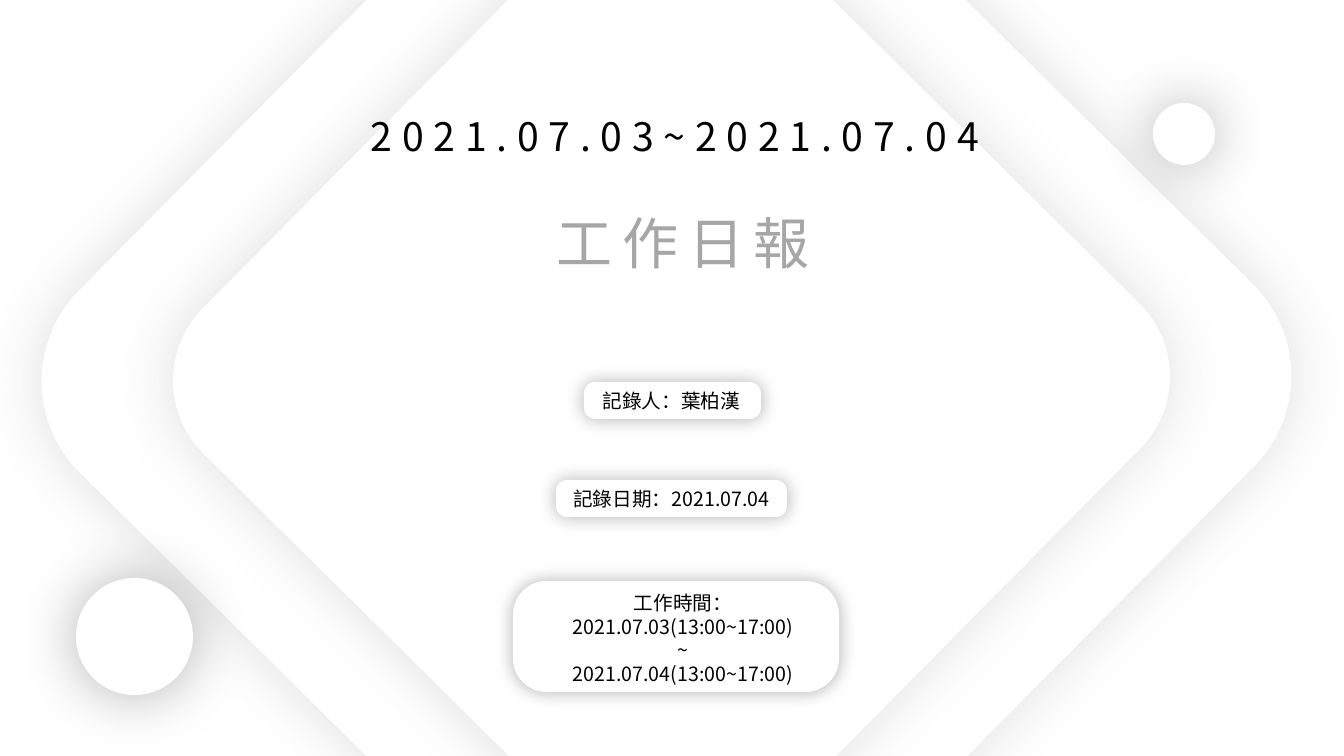
import dataclasses
from typing import Any

import lxml.etree
import pptx
import pptx.dml.color
import pptx.enum.shapes
import pptx.enum.text
import pptx.oxml.ns
import pptx.util

PX = 914400 / 100.8
FONT = "Noto Sans CJK SC"
WHITE, BLACK, GREY = "FFFFFF", "000000", "A6A6A6"
RECTANGLE = pptx.enum.shapes.MSO_SHAPE.ROUNDED_RECTANGLE
CIRCLE = pptx.enum.shapes.MSO_SHAPE.OVAL


@dataclasses.dataclass(frozen=True)
class Box:
    left: int
    top: int
    width: int
    height: int

    def emu(self) -> list[int]:
        return [round(length * PX) for length in dataclasses.astuple(self)]


@dataclasses.dataclass(frozen=True)
class Shadow:
    color: str
    opacity: int
    blur: int


@dataclasses.dataclass(frozen=True)
class Badge:
    panel: Box
    label: Box
    text: str


DIAMOND_SHADOW = Shadow("595959", 19, 43)
CIRCLE_SHADOW = Shadow(BLACK, 30, 43)
BADGE_SHADOW = Shadow(BLACK, 30, 13)

DIAMONDS = [Box(187, -101, 959, 959), Box(289, -4, 765, 765)]
CIRCLES = [Box(76, 578, 117, 117), Box(1153, 103, 62, 62)]
BADGES = [
    Badge(Box(584, 382, 177, 37), Box(566, 384, 211, 34), "記錄人：葉柏漢"),
    Badge(Box(556, 480, 231, 37), Box(550, 482, 243, 34), "記錄日期：2021.07.04"),
    Badge(
        Box(513, 581, 326, 111),
        Box(516, 586, 334, 105),
        "工作時間：\n2021.07.03(13:00~17:00)\n~\n2021.07.04(13:00~17:00)",
    ),
]


def rgb(color: str) -> pptx.dml.color.RGBColor:
    return pptx.dml.color.RGBColor.from_string(color)


def add_shadow(shape: Any, shadow: Shadow) -> None:
    shape.shadow.inherit = False
    effects = shape._element.spPr.find(pptx.oxml.ns.qn("a:effectLst"))
    outer = lxml.etree.SubElement(
        effects, pptx.oxml.ns.qn("a:outerShdw"),
        blurRad=str(pptx.util.Pt(shadow.blur)), dist="0", dir="0",
        algn="ctr", rotWithShape="0",
    )
    color = lxml.etree.SubElement(outer, pptx.oxml.ns.qn("a:srgbClr"), val=shadow.color)
    lxml.etree.SubElement(color, pptx.oxml.ns.qn("a:alpha"), val=str(shadow.opacity * 1000))


def add_panel(shapes: Any, kind: Any, box: Box, shadow: Shadow,
              corner: float = 0, rotation: float = 0) -> None:
    shape = shapes.add_shape(kind, *box.emu())
    shape.fill.solid()
    shape.fill.fore_color.rgb = rgb(WHITE)
    shape.line.fill.background()
    shape.rotation = rotation
    if corner:
        shape.adjustments[0] = corner
    add_shadow(shape, shadow)


def write_text(shape: Any, text: str, size: int, color: str, spacing: int = 0) -> None:
    frame = shape.text_frame
    frame.text = text
    frame.word_wrap = True
    frame.auto_size = pptx.enum.text.MSO_AUTO_SIZE.SHAPE_TO_FIT_TEXT
    frame.vertical_anchor = pptx.enum.text.MSO_ANCHOR.TOP
    for paragraph in frame.paragraphs:
        paragraph.alignment = pptx.enum.text.PP_ALIGN.CENTER
        for run in paragraph.runs:
            run.font.size = pptx.util.Pt(size)
            run.font.color.rgb = rgb(color)
            run.font.name = FONT
            properties = run._r.get_or_add_rPr()
            lxml.etree.SubElement(properties, pptx.oxml.ns.qn("a:ea"), typeface=FONT)
            if spacing:
                properties.set("spc", str(spacing * 100))


def add_badge(slide: Any, badge: Badge) -> None:
    group = slide.shapes.add_group_shape()
    add_panel(group.shapes, RECTANGLE, badge.panel, BADGE_SHADOW, corner=0.302)
    write_text(group.shapes.add_textbox(*badge.label.emu()), badge.text, 14, BLACK)


def main() -> None:
    presentation = pptx.Presentation()
    presentation.slide_width = round(1344 * PX)
    presentation.slide_height = round(756 * PX)
    slide = presentation.slides.add_slide(presentation.slide_layouts[5])
    slide.background.fill.solid()
    slide.background.fill.fore_color.rgb = rgb(WHITE)

    # Large diamonds
    for box in DIAMONDS:
        add_panel(slide.shapes, RECTANGLE, box, DIAMOND_SHADOW, corner=0.134, rotation=44.7)

    # Date range and title
    date_range = slide.shapes.add_textbox(*Box(308, 107, 734, 57).emu())
    write_text(date_range, "2021.07.03~2021.07.04", 28, BLACK, spacing=7)
    title = slide.shapes.title
    title.left, title.top, title.width, title.height = Box(444, 203, 479, 78).emu()
    write_text(title, "工作日報", 40, GREY, spacing=7)
    date_range._element.addnext(title._element)  # in front of the diamonds

    # Circles
    for box in CIRCLES:
        add_panel(slide.shapes, CIRCLE, box, CIRCLE_SHADOW)

    # Badges
    for badge in BADGES:
        add_badge(slide, badge)

    presentation.save("out.pptx")


if __name__ == "__main__":
    main()
